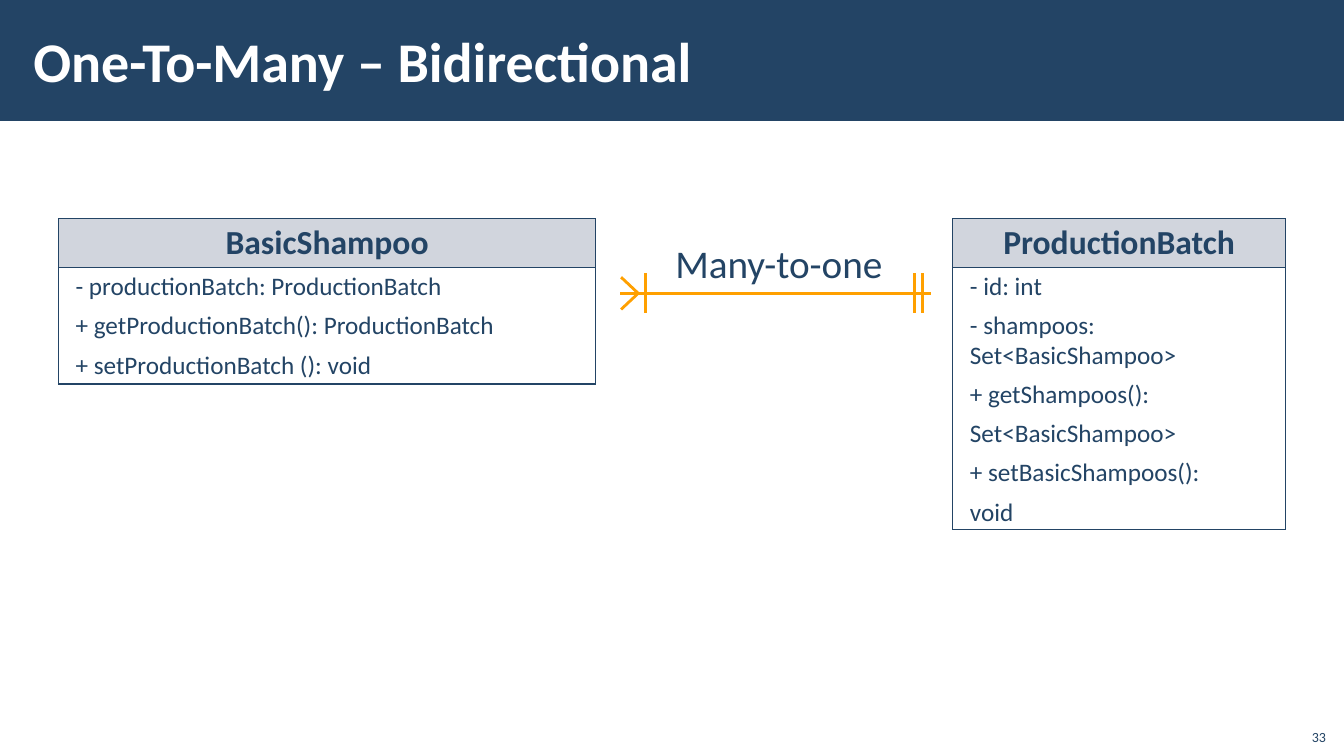
from lxml.etree import SubElement
from pptx import Presentation
from pptx.dml.color import RGBColor
from pptx.enum.shapes import MSO_CONNECTOR, MSO_SHAPE
from pptx.enum.text import MSO_ANCHOR, PP_ALIGN
from pptx.oxml.ns import qn
from pptx.util import Inches, Pt

COLORS = {name: RGBColor.from_string(value) for name, value in {
    "navy": "234465", "header": "D1D5DD", "orange": "FFA000", "white": "FFFFFF"}.items()}
TABLE_TOP, HEADER_HEIGHT = 2.17, 0.48
AXIS, TICK = 2.91, 0.2

CLASSES = [
    ("BasicShampoo", 0.58, 5.33, 1.16, [
        "- productionBatch: ProductionBatch",
        "+ getProductionBatch(): ProductionBatch",
        "+ setProductionBatch (): void"]),
    ("ProductionBatch", 9.45, 3.3, 2.6, [
        "- id: int",
        "- shampoos: Set<BasicShampoo>",
        "+ getShampoos():",
        "Set<BasicShampoo>",
        "+ setBasicShampoos():",
        "void"]),
]


def write(frame, lines, size, color="navy", bold=False, align=PP_ALIGN.LEFT):
    for index, line in enumerate(lines):
        para = frame.paragraphs[0] if index == 0 else frame.add_paragraph()
        para.text = line
        para.alignment = align
        para.font.name = "Calibri"
        para.font.size = Pt(size)
        para.font.bold = bold
        para.font.color.rgb = COLORS[color]


def add_text(left, top, width, height, text, size, align, anchor):
    box = page.shapes.add_textbox(*map(Inches, (left, top, width, height)))
    box.text_frame.word_wrap = True
    box.text_frame.vertical_anchor = anchor
    write(box.text_frame, [text], size, align=align)


deck = Presentation()
deck.slide_width, deck.slide_height = Inches(13.33), Inches(7.5)
page = deck.slides.add_slide(deck.slide_layouts[5])

title = page.shapes.title
title.left, title.top, title.width, title.height = map(Inches, (0.21, 0.11, 10.63, 0.97))
title.text_frame.margin_left = title.text_frame.margin_right = Inches(0.12)
title.text_frame.margin_top = title.text_frame.margin_bottom = Inches(0.04)
title.text_frame.vertical_anchor = MSO_ANCHOR.MIDDLE
write(title.text_frame, ["One-To-Many – Bidirectional"], 40, "white", True)

band = page.shapes.add_shape(MSO_SHAPE.RECTANGLE, 0, 0, deck.slide_width, Inches(1.2))
band.shadow.inherit = False
band.fill.solid()
band.fill.fore_color.rgb = COLORS["navy"]
band.line.fill.background()
title.element.addprevious(band.element)

relation_lines = [(6.15, AXIS, 9.23, AXIS)]
relation_lines += [(6.16, AXIS + rise, 6.33, AXIS) for rise in (-0.16, 0.16)]
relation_lines += [(x, AXIS - TICK, x, AXIS + TICK) for x in (6.4, 9.07, 9.15)]
for ends in relation_lines:
    connector = page.shapes.add_connector(MSO_CONNECTOR.STRAIGHT, *map(Inches, ends))
    connector.line.color.rgb = COLORS["orange"]
    connector.line.width = Pt(2)
    SubElement(connector.element.spPr, qn("a:effectLst"))

add_text(6.58, 2.33, 2.29, 0.57, "Many-to-one", 28, PP_ALIGN.CENTER, MSO_ANCHOR.TOP)

for name, left, width, body_height, members in CLASSES:
    table = page.shapes.add_table(2, 1, Inches(left), Inches(TABLE_TOP), Inches(width),
                                  Inches(HEADER_HEIGHT + body_height)).table
    table.first_row = table.horz_banding = False
    table.rows[0].height, table.rows[1].height = Inches(HEADER_HEIGHT), Inches(body_height)
    header, body = table.cell(0, 0), table.cell(1, 0)
    write(header.text_frame, [name], 24, bold=True, align=PP_ALIGN.CENTER)
    write(body.text_frame, members, 18)
    for cell, fill in ((header, "header"), (body, "white")):
        cell.margin_left = cell.margin_right = Inches(0.17)
        cell.margin_top = cell.margin_bottom = Inches(0.05)
        for index, para in enumerate(cell.text_frame.paragraphs):
            para.line_spacing = 0.95
            para.space_before = Pt(7.2 if index else 0)
        properties = cell._tc.get_or_add_tcPr()
        for side in ("lnL", "lnR", "lnT", "lnB"):
            border = SubElement(properties, qn(f"a:{side}"), w=str(Pt(1)))
            paint = SubElement(border, qn("a:solidFill"))
            SubElement(paint, qn("a:srgbClr"), val=str(COLORS["navy"]))
        cell.fill.solid()
        cell.fill.fore_color.rgb = COLORS[fill]

add_text(12.85, 7.12, 0.4, 0.32, "33", 10, PP_ALIGN.RIGHT, MSO_ANCHOR.BOTTOM)

deck.save("out.pptx")
